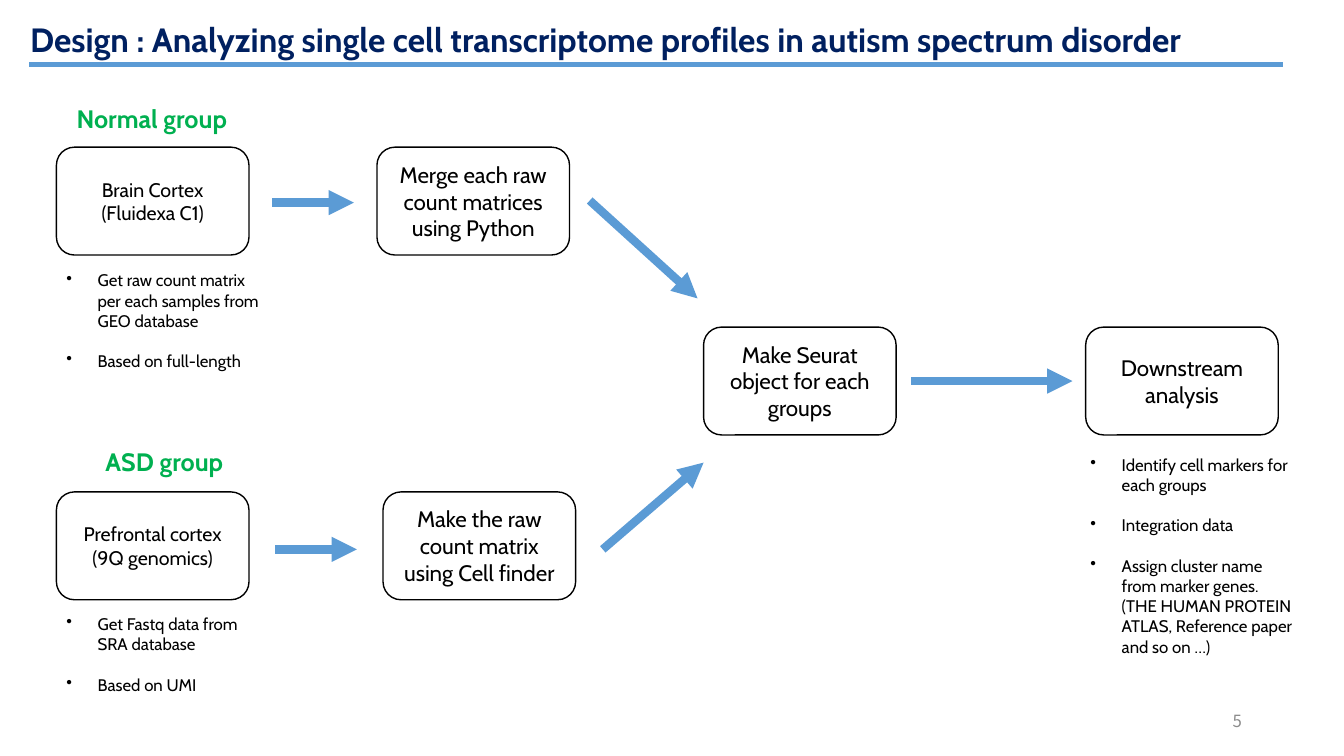
"""Build the single cell analysis workflow slide."""
from dataclasses import dataclass

from lxml import etree
from pptx import Presentation
from pptx.dml.color import RGBColor
from pptx.enum.shapes import MSO_CONNECTOR, MSO_SHAPE
from pptx.enum.text import MSO_ANCHOR, PP_ALIGN
from pptx.oxml.ns import qn
from pptx.util import Inches, Pt

LEFT, CENTER, RIGHT = PP_ALIGN.LEFT, PP_ALIGN.CENTER, PP_ALIGN.RIGHT
TOP, MIDDLE = MSO_ANCHOR.TOP, MSO_ANCHOR.MIDDLE
ROUNDED, STRAIGHT = MSO_SHAPE.ROUNDED_RECTANGLE, MSO_CONNECTOR.STRAIGHT

COLORS = {"title": "002060", "accent": "5B9BD5", "group": "00B050",
          "text": "000000", "number": "8C8C8C"}
FONT, NUMBER_FONT = "Cabin", "Noto Sans CJK KR"
WIDTH, HEIGHT = Inches(13.33), Inches(7.5)
NODE_W, NODE_H = 14.33, 14.27
NORMAL_Y, ASD_Y, JOINT_Y = 19.47, 65.07, 43.27


@dataclass
class Style:
    size: int
    color: str = "text"
    bold: bool = False
    align: PP_ALIGN = LEFT
    font: str = FONT


@dataclass
class Label:
    x: float
    y: float
    w: float
    h: float
    text: str
    style: Style
    anchor: MSO_ANCHOR = TOP
    wrap: bool = True


@dataclass
class Node:
    x: float
    y: float
    lines: list[str]
    size: int = 16


@dataclass
class Notes:
    x: float
    y: float
    w: float
    h: float
    items: list[str]


@dataclass
class Line:
    x1: float
    y1: float
    x2: float
    y2: float
    width: int = 6
    arrow: bool = True


GROUP = Style(18, "group", True, CENTER)
LABELS = [
    Label(1.5, 1.87, 95.7, 6.67,
          "Design : Analyzing single cell transcriptome profiles in autism spectrum disorder",
          Style(24, "title", True)),
    Label(70.65, 92.67, 22.5, 5.33, "5",
          Style(12, "number", align=RIGHT, font=NUMBER_FONT), MIDDLE),
    Label(4.88, 13.07, 12.83, 5.33, "Normal group", GROUP, wrap=False),
    Label(1.5, 58.4, 21.45, 5.33, "ASD group", GROUP),
]
NODES = [
    Node(4.2, NORMAL_Y, ["Brain Cortex", "(Fluidexa C1)"], 14),
    Node(4.2, ASD_Y, ["Prefrontal cortex", "(9Q genomics)"], 14),
    Node(28.05, NORMAL_Y, ["Merge each raw count matrices using Python"]),
    Node(28.5, ASD_Y, ["Make the raw count matrix using Cell finder"]),
    Node(52.35, JOINT_Y, ["Make Seurat object for each groups"]),
    Node(80.78, JOINT_Y, ["Downstream analysis"]),
]
LINES = [
    Line(2.18, 8.53, 95.48, 8.53, 3, False),
    Line(20.25, 26.8, 26.33, 26.8),
    Line(20.48, 72.67, 26.55, 72.67),
    Line(43.88, 26.53, 51.9, 39.47),
    Line(44.85, 72.67, 52.35, 61.2),
    Line(67.8, 50.4, 79.8, 50.4),
]
NOTES = [
    Notes(4.2, 35.07, 16.28, 14.8,
          ["Get raw count matrix per each samples from GEO database", "Based on full-length"]),
    Notes(4.2, 80.53, 14.33, 12.13,
          ["Get Fastq data from SRA database", "Based on UMI"]),
    Notes(80.4, 59.47, 16.73, 28.27,
          ["Identify cell markers for each groups", "Integration data",
           "Assign cluster name from marker genes. "
           "(THE HUMAN PROTEIN ATLAS, Reference paper and so on …)"]),
]


def across(share: float) -> int:
    """Convert a percentage of the slide width to a length."""
    return round(WIDTH * share / 100)


def down(share: float) -> int:
    """Convert a percentage of the slide height to a length."""
    return round(HEIGHT * share / 100)


def rgb(name: str) -> RGBColor:
    """Look up a named colour."""
    return RGBColor.from_string(COLORS[name])


def write(tf, lines: list[str], style: Style) -> None:
    """Fill a text frame with one styled paragraph per line."""
    tf.text = "\n".join(lines)
    for p in tf.paragraphs:
        p.alignment = style.align
        p.font.size = Pt(style.size)
        p.font.name = style.font
        p.font.bold = style.bold
        p.font.color.rgb = rgb(style.color)


def add_label(s, label: Label) -> None:
    """Add a single-paragraph text box."""
    tf = s.shapes.add_textbox(across(label.x), down(label.y),
                              across(label.w), down(label.h)).text_frame
    tf.word_wrap = label.wrap
    tf.vertical_anchor = label.anchor
    write(tf, [label.text], label.style)


def add_node(s, node: Node) -> None:
    """Add an outlined workflow step."""
    sp = s.shapes.add_shape(ROUNDED, across(node.x), down(node.y),
                            across(NODE_W), down(NODE_H))
    sp.shadow.inherit = False
    sp.fill.background()
    sp.line.color.rgb = rgb("text")
    sp.line.width = Pt(1)
    sp.text_frame.vertical_anchor = MIDDLE
    write(sp.text_frame, node.lines, Style(node.size, align=CENTER))


def add_line(s, line: Line) -> None:
    """Add a straight rule or arrow."""
    cx = s.shapes.add_connector(STRAIGHT, across(line.x1), down(line.y1),
                                across(line.x2), down(line.y2))
    cx.line.color.rgb = rgb("accent")
    cx.line.width = Pt(line.width)
    if line.arrow:
        etree.SubElement(cx.line._get_or_add_ln(), qn("a:tailEnd"), type="triangle")
    etree.SubElement(cx._element.spPr, qn("a:effectLst"))


def add_notes(s, notes: Notes) -> None:
    """Add a bulleted list with a line of space between items."""
    tf = s.shapes.add_textbox(across(notes.x), down(notes.y),
                              across(notes.w), down(notes.h)).text_frame
    tf.word_wrap = True
    write(tf, notes.items, Style(12))
    for i, p in enumerate(tf.paragraphs):
        p.space_before = Pt(14.5 if i else 0)
        pPr = p._p.get_or_add_pPr()
        pPr.set("marL", str(Inches(0.31)))
        pPr.set("indent", str(-Inches(0.31)))
        bullet = etree.Element(qn("a:buChar"), char="•")
        pPr.find(qn("a:defRPr")).addprevious(bullet)


def main() -> None:
    """Draw the workflow and save it."""
    prs = Presentation()
    prs.slide_width, prs.slide_height = WIDTH, HEIGHT
    s = prs.slides.add_slide(prs.slide_layouts[6])
    for draw, parts in ((add_label, LABELS), (add_line, LINES),
                        (add_node, NODES), (add_notes, NOTES)):
        for part in parts:
            draw(s, part)
    prs.save("out.pptx")


if __name__ == "__main__":
    main()
